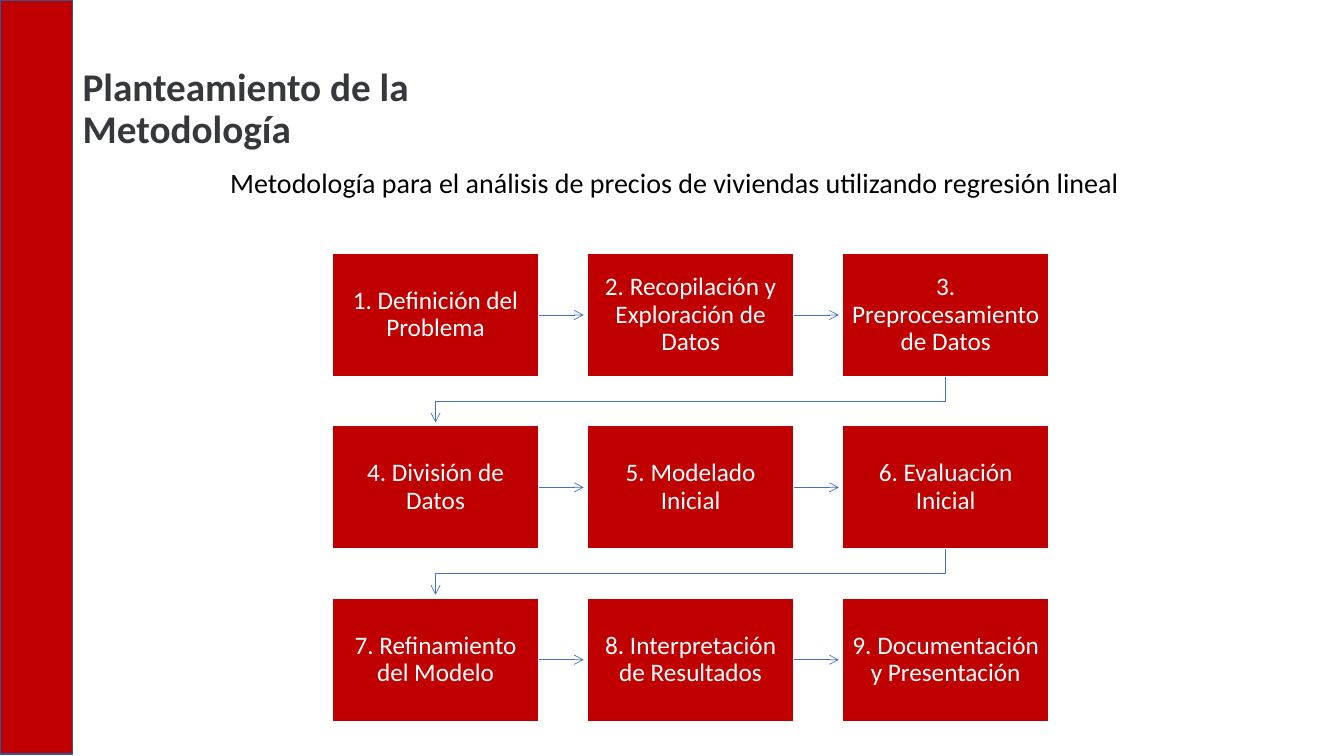
from dataclasses import dataclass

from pptx import Presentation
from pptx.dml.color import RGBColor
from pptx.enum.shapes import MSO_CONNECTOR, MSO_SHAPE
from pptx.enum.text import MSO_ANCHOR, MSO_AUTO_SIZE, PP_ALIGN
from pptx.oxml.ns import qn
from pptx.oxml.xmlchemy import OxmlElement
from pptx.util import Inches, Pt

RECTANGLE = MSO_SHAPE.RECTANGLE
STRAIGHT = MSO_CONNECTOR.STRAIGHT
TOP, MIDDLE = MSO_ANCHOR.TOP, MSO_ANCHOR.MIDDLE
LEFT, CENTER = PP_ALIGN.LEFT, PP_ALIGN.CENTER
RIGHT_SIDE = 3
TITLE_ONLY = 5


@dataclass(frozen=True)
class Theme:
    font: str = "Calibri"
    red: RGBColor = RGBColor(0xC0, 0x00, 0x00)
    bar_line: RGBColor = RGBColor(0x32, 0x54, 0x91)
    arrow: RGBColor = RGBColor(0x44, 0x72, 0xC4)
    title: RGBColor = RGBColor(0x36, 0x38, 0x3C)
    text: RGBColor = RGBColor(0x00, 0x00, 0x00)
    white: RGBColor = RGBColor(0xFF, 0xFF, 0xFF)
    title_size: Pt = Pt(28)
    subtitle_size: Pt = Pt(20)
    step_size: Pt = Pt(18)


THEME = Theme()

STEPS = [
    "1. Definición del Problema",
    "2. Recopilación y Exploración de Datos",
    "3. Preprocesamiento de Datos",
    "4. División de Datos",
    "5. Modelado Inicial",
    "6. Evaluación Inicial",
    "7. Refinamiento del Modelo",
    "8. Interpretación de Resultados",
    "9. Documentación y Presentación",
]
COLUMNS = 3
STEP_W, STEP_H = Inches(2.06), Inches(1.23)
GAP_X, GAP_Y = Inches(0.47), Inches(0.48)
ARROW_GAP = Inches(0.03)


def write(tf, text, size, color, align, spacing, bold=False):
    tf.word_wrap = True
    p = tf.paragraphs[0]
    p.text = text
    p.alignment = align
    p.line_spacing = spacing
    p.font.name = THEME.font
    p.font.size = size
    p.font.bold = bold
    p.font.color.rgb = color


def add_box(slide, box, line_color, line_width):
    sp = slide.shapes.add_shape(RECTANGLE, *box)
    sp.shadow.inherit = False
    sp.fill.solid()
    sp.fill.fore_color.rgb = THEME.red
    sp.line.color.rgb = line_color
    sp.line.width = line_width
    return sp


def style_arrow(sp):
    """Give a connector or open path a thin line, an open arrowhead and no shadow."""
    sp.line.color.rgb = THEME.arrow
    sp.line.width = Pt(0.5)
    spPr = sp._element.spPr
    head = OxmlElement("a:tailEnd")
    head.set("type", "arrow")
    spPr.find(qn("a:ln")).append(head)
    spPr.append(OxmlElement("a:effectLst"))


def add_title(slide, box):
    title = slide.shapes.title
    title.left, title.top, title.width, title.height = box
    tf = title.text_frame
    tf.auto_size = MSO_AUTO_SIZE.NONE
    tf.vertical_anchor = TOP
    write(tf, "Planteamiento de la Metodología", THEME.title_size,
          THEME.title, LEFT, 0.9, bold=True)


def add_subtitle(slide, box):
    tf = slide.shapes.add_textbox(*box).text_frame
    write(tf, "Metodología para el análisis de precios de viviendas "
          "utilizando regresión lineal",
          THEME.subtitle_size, THEME.text, CENTER, 1.07)


def add_step(slide, text, box):
    sp = add_box(slide, box, THEME.white, Pt(1.5))
    tf = sp.text_frame
    tf.margin_left = tf.margin_right = Inches(0.1)
    tf.margin_top = tf.margin_bottom = Inches(0.11)
    tf.vertical_anchor = MIDDLE
    write(tf, text, THEME.step_size, THEME.white, CENTER, 0.9)
    return sp


def link_across(slide, start, end):
    y = start.top + start.height // 2
    arrow = slide.shapes.add_connector(
        STRAIGHT, start.left + start.width, y, end.left - ARROW_GAP, y)
    arrow.begin_connect(start, RIGHT_SIDE)
    style_arrow(arrow)


def link_down(slide, start, end):
    """Lead from the last step of a row back to the first of the next."""
    start_x = start.left + start.width // 2
    end_x = end.left + end.width // 2
    bottom = start.top + start.height
    turn = (bottom + end.top) // 2
    path = slide.shapes.build_freeform(start_x, bottom)
    path.add_line_segments(
        [(start_x, turn), (end_x, turn), (end_x, end.top - ARROW_GAP)],
        close=False)
    sp = path.convert_to_shape()
    sp.fill.background()
    style_arrow(sp)


def add_flow(slide, left, top):
    boxes = []
    for i, text in enumerate(STEPS):
        row, col = divmod(i, COLUMNS)
        boxes.append(add_step(slide, text, (
            left + col * (STEP_W + GAP_X), top + row * (STEP_H + GAP_Y),
            STEP_W, STEP_H)))
    for start, end in zip(boxes, boxes[1:]):
        link = link_across if start.top == end.top else link_down
        link(slide, start, end)


def main():
    prs = Presentation()
    prs.slide_width, prs.slide_height = Inches(13.33), Inches(7.5)
    slide = prs.slides.add_slide(prs.slide_layouts[TITLE_ONLY])
    add_box(slide, (0, 0, Inches(0.72), Inches(7.48)), THEME.bar_line, Pt(1))
    add_title(slide, (Inches(0.72), Inches(0.62), Inches(5.42), Inches(0.53)))
    add_subtitle(slide, (Inches(2.05), Inches(1.57), Inches(9.28), Inches(0.45)))
    add_flow(slide, Inches(3.29), Inches(2.51))
    prs.save("out.pptx")


if __name__ == "__main__":
    main()
